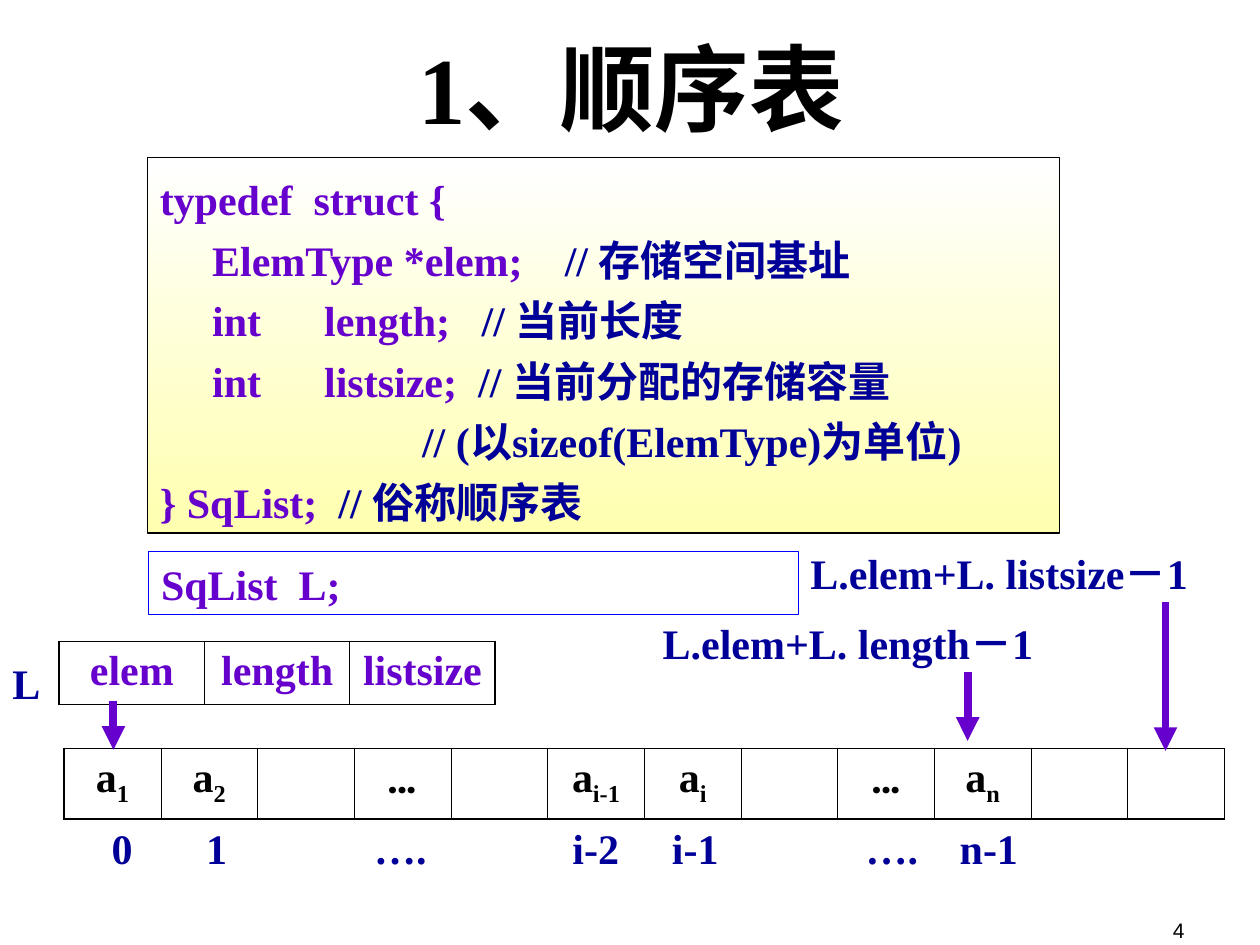
from lxml import etree
from pptx import Presentation
from pptx.dml.color import RGBColor
from pptx.enum import shapes, text
from pptx.oxml import ns
from pptx.util import Inches, Pt

BLACK = RGBColor(0, 0, 0)
WHITE = RGBColor(255, 255, 255)
CREAM = RGBColor(0xFF, 0xFF, 0xAF)
NAVY = RGBColor(0, 0, 0x99)
BLUE = RGBColor(0, 0, 255)
VIOLET = RGBColor(0x66, 0, 0xCC)
SERIF = "Times New Roman"
LEFT, CENTER, RIGHT = text.PP_ALIGN.LEFT, text.PP_ALIGN.CENTER, text.PP_ALIGN.RIGHT

CODE = [
    ("typedef  struct {", ""),
    ("     ElemType *elem;", "    // 存储空间基址"),
    ("     int      length;", "   // 当前长度"),
    ("     int      listsize;", "  // 当前分配的存储容量"),
    ("", "                         // (以sizeof(ElemType)为单位)"),
    ("} SqList;", "  // 俗称顺序表"),
]
FIELDS = [("elem", ""), ("length", ""), ("listsize", "")]
ITEMS = [("a", "1"), ("a", "2"), ("", ""), ("…", ""), ("", ""), ("a", "i-1"),
         ("a", "i"), ("", ""), ("…", ""), ("a", "n"), ("", ""), ("", "")]
MARKS = [("0", 0.17), ("1", 0.92), ("….", 2.38), ("i-2", 3.93),
         ("i-1", 4.72), ("….", 6.28), ("n-1", 7.05)]


def style(font, color, size=24, name=SERIF, bold=True):
    """Set the look of a font."""
    font.name, font.size, font.bold = name, Pt(size), bold
    font.color.rgb = color


def add_run(para, words, color, name=SERIF):
    """Append a styled run and return it."""
    run = para.add_run()
    run.text = words
    style(run.font, color, name=name)
    return run


def add_label(slide, box, words, color=NAVY, align=CENTER, wrap=True):
    """Add a text box with one line and return its paragraph."""
    frame = slide.shapes.add_textbox(*map(Inches, box)).text_frame
    frame.word_wrap = wrap
    para = frame.paragraphs[0]
    para.text = words
    para.alignment = align
    style(para.runs[0].font, color)
    return para


def add_marks(slide):
    """Add the index line, each mark centred on its own tab stop."""
    line = "".join("\t" + mark for mark, _ in MARKS)
    para = add_label(slide, (0.7, 6.48, 7.7, 0.5), line, align=LEFT)
    props = para._p.get_or_add_pPr()
    tabs = etree.SubElement(props, ns.qn("a:tabLst"))
    for _, pos in MARKS:
        etree.SubElement(tabs, ns.qn("a:tab"), pos=str(Inches(pos)), algn="ctr")


def add_panel(slide, box, line):
    """Add an outlined rectangle for top-left text."""
    panel = slide.shapes.add_shape(shapes.MSO_SHAPE.RECTANGLE, *map(Inches, box))
    panel.shadow.inherit = False
    panel.fill.background()
    panel.line.color.rgb = line
    panel.line.width = Pt(0.75)
    panel.text_frame.vertical_anchor = text.MSO_ANCHOR.TOP
    panel.text_frame.paragraphs[0].alignment = LEFT
    return panel


def add_code(slide):
    """Add the struct definition on a shaded panel."""
    panel = add_panel(slide, (1.17, 1.25, 7.24, 2.98), BLACK)
    panel.fill.gradient()
    panel.fill.gradient_angle = 270
    for stop, color, pos in zip(panel.fill.gradient_stops, (WHITE, CREAM), (0, 1)):
        stop.color.rgb, stop.position = color, pos
    frame = panel.text_frame
    for row, (code, note) in enumerate(CODE):
        para = frame.add_paragraph() if row else frame.paragraphs[0]
        para.alignment, para.line_spacing = LEFT, 1.2
        for words, color in ((code, VIOLET), (note, NAVY)):
            if words:
                add_run(para, words, color)


def set_edge(cell, side, width):
    """Draw one black border of a cell."""
    edge = etree.SubElement(cell._tc.get_or_add_tcPr(), ns.qn("a:ln" + side),
                            w=str(Pt(width)))
    fill = etree.SubElement(edge, ns.qn("a:solidFill"))
    etree.SubElement(fill, ns.qn("a:srgbClr"), val=str(BLACK))


def add_cells(slide, box, items, color):
    """Add a one-row table of names with subscripts."""
    table = slide.shapes.add_table(1, len(items), *map(Inches, box)).table
    table.first_row = table.horz_banding = False
    last = len(items) - 1
    for col, (base, sub) in enumerate(items):
        table.columns[col].width = Inches(box[2] / len(items))
        cell = table.cell(0, col)
        set_edge(cell, "L", 0.45 if col else 1.08)
        set_edge(cell, "R", 0.45 if col < last else 1.08)
        set_edge(cell, "T", 1.08)
        set_edge(cell, "B", 1.08)
        cell.fill.background()
        para = cell.text_frame.paragraphs[0]
        para.alignment = CENTER
        if base:
            add_run(para, base, color, "Karla" if base == "…" else SERIF)
        if sub:
            low = add_run(para, sub, color)
            low._r.get_or_add_rPr().set("baseline", "-25000")


def add_arrow(slide, x, top, end):
    """Add a thick arrow pointing down."""
    arrow = slide.shapes.add_connector(shapes.MSO_CONNECTOR.STRAIGHT, Inches(x),
                                       Inches(top), Inches(x), Inches(end))
    arrow.line.color.rgb = VIOLET
    arrow.line.width = Pt(4.5)
    etree.SubElement(arrow.line._get_or_add_ln(), ns.qn("a:tailEnd"), type="triangle")
    etree.SubElement(arrow._element.spPr, ns.qn("a:effectLst"))


def add_title(slide):
    """Place and format the title."""
    title = slide.shapes.title
    title.left, title.top, title.width, title.height = map(Inches, (0.51, 0.13, 9, 1.12))
    title.text_frame.text = "1、顺序表"
    title.text_frame.vertical_anchor = text.MSO_ANCHOR.MIDDLE
    para = title.text_frame.paragraphs[0]
    para.alignment = CENTER
    style(para.runs[0].font, BLACK, 54)


def add_number(slide):
    """Add the page number."""
    para = add_label(slide, (7.17, 7.03, 2.33, 0.5), "4", align=RIGHT)
    style(para.runs[0].font, BLACK, 12, "Arial", False)
    slide.shapes[-1].text_frame.vertical_anchor = text.MSO_ANCHOR.BOTTOM


def main():
    """Build the slide and save it."""
    deck = Presentation()
    deck.slide_width, deck.slide_height = Inches(10), Inches(7.5)
    slide = deck.slides.add_slide(deck.slide_layouts[5])
    add_number(slide)
    add_title(slide)
    add_marks(slide)
    add_cells(slide, (0.51, 5.94, 9.21, 0.56), ITEMS, BLACK)
    add_code(slide)
    add_cells(slide, (0.47, 5.09, 3.46, 0.5), FIELDS, VIOLET)
    add_label(slide, (0, 5.17, 0.42, 0.5), "L")
    panel = add_panel(slide, (1.18, 4.38, 5.16, 0.5), BLUE)
    add_run(panel.text_frame.paragraphs[0], "SqList  L;", VIOLET)
    add_label(slide, (4.98, 4.85, 3.5, 0.5), "L.elem+L. length－1", wrap=False)
    add_label(slide, (6.18, 4.3, 3.5, 0.5), "L.elem+L. listsize－1", wrap=False)
    for x, top, end in ((0.9, 5.56, 5.95), (7.68, 5.33, 5.88), (9.25, 4.78, 5.96)):
        add_arrow(slide, x, top, end)
    deck.save("out.pptx")


if __name__ == "__main__":
    main()
